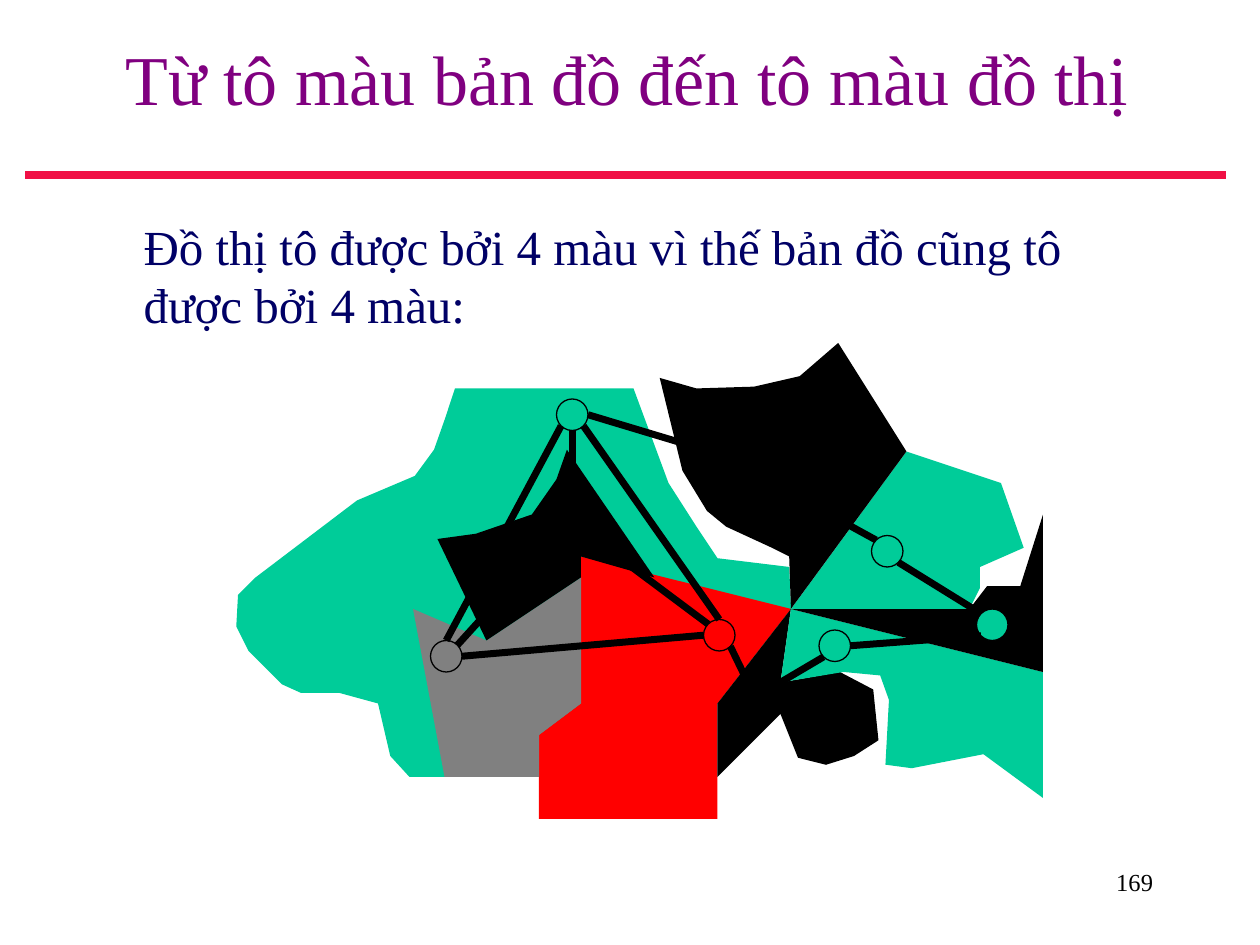
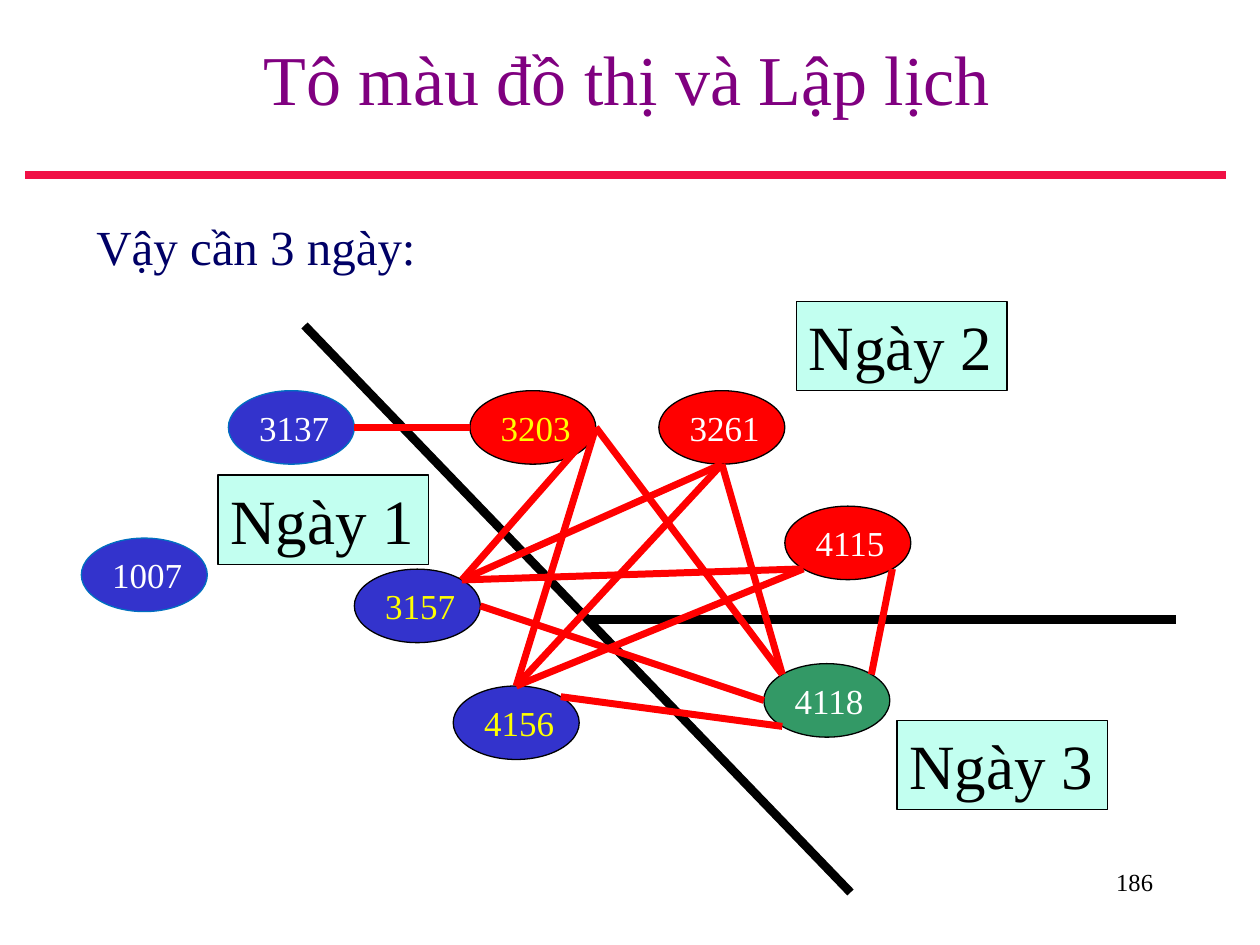
"""Build two slides on graph colouring: a map with its graph, and an exam timetable."""
from lxml.etree import SubElement
from pptx import Presentation
from pptx.dml.color import RGBColor
from pptx.enum.shapes import MSO_CONNECTOR as CONN, MSO_SHAPE as SHAPE
from pptx.enum.text import MSO_ANCHOR as ANCHOR, MSO_AUTO_SIZE as FIT, PP_ALIGN as ALIGN
from pptx.oxml.ns import qn
from pptx.util import Pt

FONT = "Times New Roman"
BLACK, WHITE, RED, YELLOW, GRAY, TEAL, INDIGO, BLUE, GREEN, MINT, PURPLE, NAVY, CRIMSON = map(
    RGBColor.from_string,
    "000000 FFFFFF FF0000 FFFF00 808080 00CC99 3333CC 0070C0 339966 C2FFF0 800080 000066 F01045".split())

MAP = {
    "title": "Từ tô màu bản đồ đến tô màu đồ thị",
    "body": "Đồ thị tô được bởi 4 màu vì thế bản đồ cũng tô được bởi 4 màu:",
    "body_width": 612, "margin": 27, "number": "169",
}
SCHEDULE = {
    "title": "Tô màu đồ thị và Lập lịch",
    "body": "Vậy cần 3 ngày:",
    "body_width": 642, "margin": 0, "number": "186",
}

HUB, ELBOW, GULF = (452, 348), (410, 402), (446, 390)
FOLD, STEP, BEND, FOOT = (332, 318), (332, 330), (332, 402), (308, 420)
BASE, PORT, PIER = (308, 444), (278, 366), (410, 444)
SHORE, EDGE, CAPE = (554, 348), (596, 384), (518, 258)
REGIONS = [
    (TEAL, [HUB, (451, 324), (410, 319), (398, 301), (382, 276), (362, 222), (260, 222),
            (254, 240), (248, 257), (237, 272), (204, 286), (146, 330), (136, 340),
            (135, 358), (142, 372), (161, 391), (172, 396), (194, 396), (216, 402),
            (223, 432), (234, 444), BASE, ELBOW]),
    (RED, [(308, 468), FOOT, BEND, FOLD, HUB, ELBOW, (410, 468)]),
    (GRAY, [(254, 444), (236, 348), PORT, STEP, BEND, FOOT, BASE]),
    (BLACK, [PORT, (250, 308), (272, 305), (304, 294), (318, 274), (324, 257),
             (374, 330), FOLD, STEP]),
    (BLACK, [PIER, (446, 408), (456, 433), (472, 437), (488, 432), (502, 423),
             (499, 394), (480, 384), GULF, HUB, ELBOW]),
    (TEAL, [HUB, EDGE, (596, 456), (562, 431), (521, 439), (506, 437),
            (508, 400), (503, 386), (482, 384), GULF]),
    (TEAL, [HUB, SHORE, (560, 336), (560, 324), (585, 313), (572, 276), CAPE]),
    (BLACK, [SHORE, HUB, EDGE, (596, 294), (583, 335), (564, 335)]),
    (BLACK, [HUB, (451, 318), (441, 313), (415, 301), (404, 292), (390, 269),
             (377, 216), (398, 222), (431, 221), (457, 215), (479, 196), CAPE]),
]

COUNTRIES = {
    "north": (318, 228, TEAL), "center": (318, 288, None), "west": (246, 366, None),
    "south": (402, 354, None), "gulf": (426, 390, None), "delta": (468, 360, TEAL),
    "east": (558, 348, TEAL), "upland": (498, 306, TEAL), "coast": (432, 264, None),
}
BORDERS = [
    ("west", "ne", "center", "sw"), ("south", "n", "north", "se"),
    ("center", "n", "north", "s"), ("west", "e", "south", "w"),
    ("south", "nw", "center", "se"), ("north", "e", "coast", "nw"),
    ("west", "n", "north", "sw"), ("gulf", "nw", "south", "se"),
    ("gulf", "ne", "delta", "sw"), ("east", "sw", "delta", "e"),
    ("east", "nw", "upland", "se"), ("coast", "se", "upland", "nw"),
]

DIVIDERS = [(174, 186, 486, 510), (336, 354, 672, 354)]
DAYS = [("Ngày 1", 124.5, 271.5), ("Ngày 2", 455, 172.25), ("Ngày 3", 512.5, 411.75)]
COURSES = {
    "1007": (46.5, 307.5, INDIGO, BLUE, WHITE), "3137": (130.5, 223.25, INDIGO, BLUE, WHITE),
    "3157": (202.5, 325.25, INDIGO, BLACK, YELLOW), "3203": (268.5, 223.25, RED, BLACK, YELLOW),
    "4115": (448.5, 289.25, RED, BLACK, WHITE), "3261": (376.5, 223.25, RED, BLACK, WHITE),
    "4156": (259, 392, INDIGO, BLACK, YELLOW), "4118": (436.5, 379.25, GREEN, BLACK, WHITE),
}
CLASHES = [
    ("3137", "e", "3203", "w"), ("3157", "ne", "3203", "e"), ("4156", "n", "3203", "e"),
    ("4118", "w", "3157", "e"), ("4115", "sw", "3157", "ne"), ("3261", "s", "3157", "ne"),
    ("4118", "sw", "4156", "ne"), ("4118", "nw", "3261", "s"), ("4118", "nw", "3203", "e"),
    ("4118", "ne", "4115", "se"), ("3261", "s", "4156", "n"), ("4156", "n", "4115", "sw"),
]


def write(sp, text, size, color, align=ALIGN.LEFT, anchor=ANCHOR.TOP, wrap=True):
    tf = sp.text_frame
    tf.word_wrap, tf.vertical_anchor = wrap, anchor
    p = tf.paragraphs[0]
    p.text, p.alignment = text, align
    p.font.name, p.font.size, p.font.color.rgb = FONT, Pt(size), color
    return p


def add_text(s, box, *args):
    return write(s.shapes.add_textbox(*map(Pt, box)), *args)


def add_line(s, ends, color, width):
    c = s.shapes.add_connector(CONN.STRAIGHT, *map(Pt, ends))
    c.line.color.rgb, c.line.width = color, Pt(width)
    SubElement(c._element.spPr, qn("a:effectLst"))


def paint(sp, fill, line):
    sp.shadow.inherit = False
    if fill is None:
        sp.fill.background()
    else:
        sp.fill.solid()
        sp.fill.fore_color.rgb = fill
    if line is None:
        sp.line.fill.background()
    else:
        sp.line.color.rgb, sp.line.width = line, Pt(0.75)


def add_shape(s, kind, box, fill, line):
    sp = s.shapes.add_shape(kind, *map(Pt, box))
    paint(sp, fill, line)
    return sp


def add_region(s, fill, outline):
    start, *rest = [(Pt(x), Pt(y)) for x, y in outline]
    builder = s.shapes.build_freeform(*start)
    builder.add_line_segments(rest, close=True)
    paint(builder.convert_to_shape(), fill, None)


def rim(node, side, w, h):
    dx = ("e" in side) - ("w" in side)
    dy = ("s" in side) - ("n" in side)
    reach = 0.5 / (dx * dx + dy * dy) ** 0.5
    return node[0] + w * (0.5 + reach * dx), node[1] + h * (0.5 + reach * dy)


def add_edges(s, nodes, edges, color, w, h):
    for a, a_side, b, b_side in edges:
        add_line(s, rim(nodes[a], a_side, w, h) + rim(nodes[b], b_side, w, h), color, 4)


def add_slide(prs, content):
    s = prs.slides.add_slide(prs.slide_layouts[6])
    add_line(s, (14.5, 100, 700.5, 100), CRIMSON, 4.5)
    add_text(s, (516, 492, 150, 36), content["number"], 14, BLACK, ALIGN.RIGHT)
    add_text(s, (14.5, 0, 687.5, 88.5), content["title"], 40, PURPLE,
             ALIGN.CENTER, ANCHOR.MIDDLE)
    return s


def add_body(s, content):
    p = add_text(s, (48, 120, content["body_width"], 324), content["body"], 28, NAVY)
    p._p.get_or_add_pPr().set("marL", str(Pt(content["margin"])))


def add_map_slide(prs):
    s = add_slide(prs, MAP)
    for fill, outline in REGIONS:
        add_region(s, fill, outline)
    add_body(s, MAP)
    for x, y, fill in COUNTRIES.values():
        add_shape(s, SHAPE.OVAL, (x, y, 18, 18), fill, BLACK)
    add_edges(s, COUNTRIES, BORDERS, BLACK, 18, 18)


def add_schedule_slide(prs):
    s = add_slide(prs, SCHEDULE)
    add_body(s, SCHEDULE)
    for ends in DIVIDERS:
        add_line(s, ends, BLACK, 5)
    for day, x, y in DAYS:
        sp = add_shape(s, SHAPE.RECTANGLE, (x, y, 120.5, 51), MINT, BLACK)
        write(sp, day, 36, BLACK, wrap=False)
        sp.text_frame.auto_size = FIT.SHAPE_TO_FIT_TEXT
    for code, (x, y, fill, line, color) in COURSES.items():
        sp = add_shape(s, SHAPE.OVAL, (x, y, 72, 42), fill, line)
        write(sp, code, 20, color, anchor=ANCHOR.MIDDLE, wrap=False)
    add_edges(s, COURSES, CLASHES, RED, 72, 42)


def main():
    prs = Presentation()
    prs.slide_width, prs.slide_height = Pt(720), Pt(540)
    add_map_slide(prs)
    add_schedule_slide(prs)
    prs.save("out.pptx")


if __name__ == "__main__":
    main()
